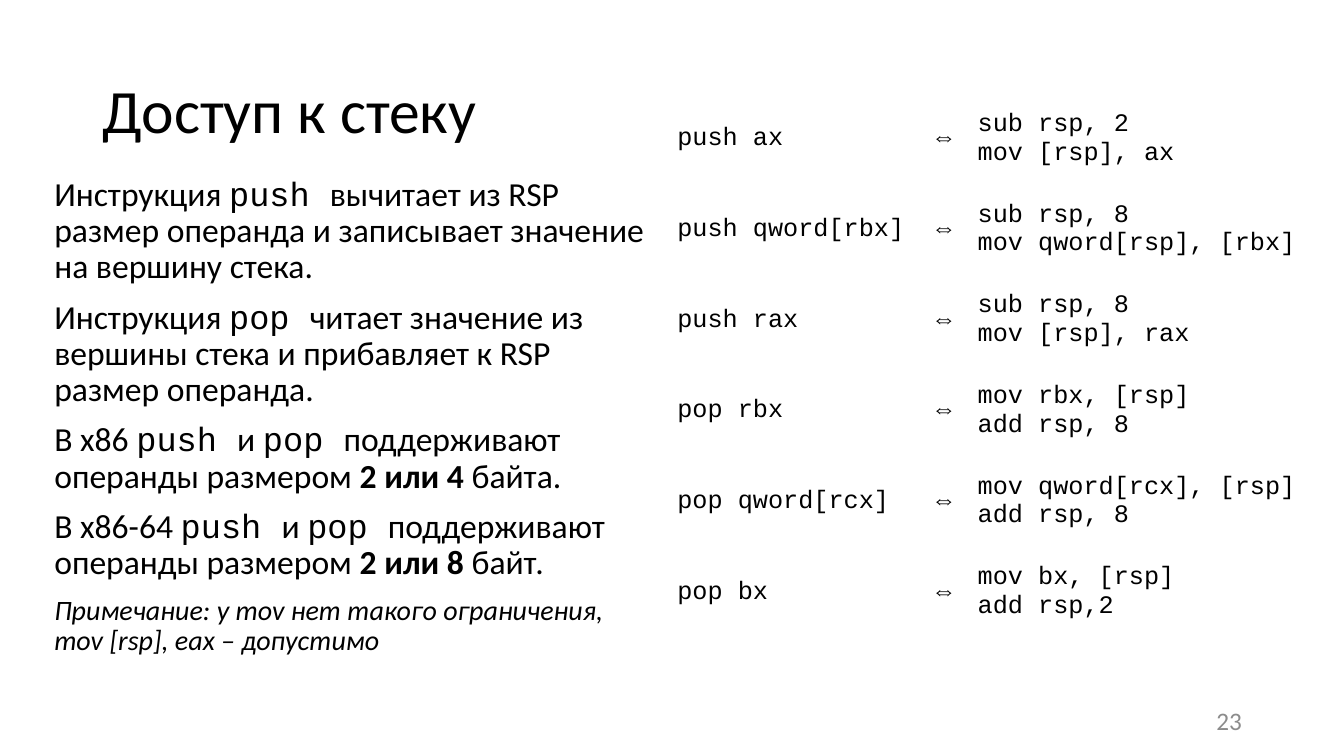
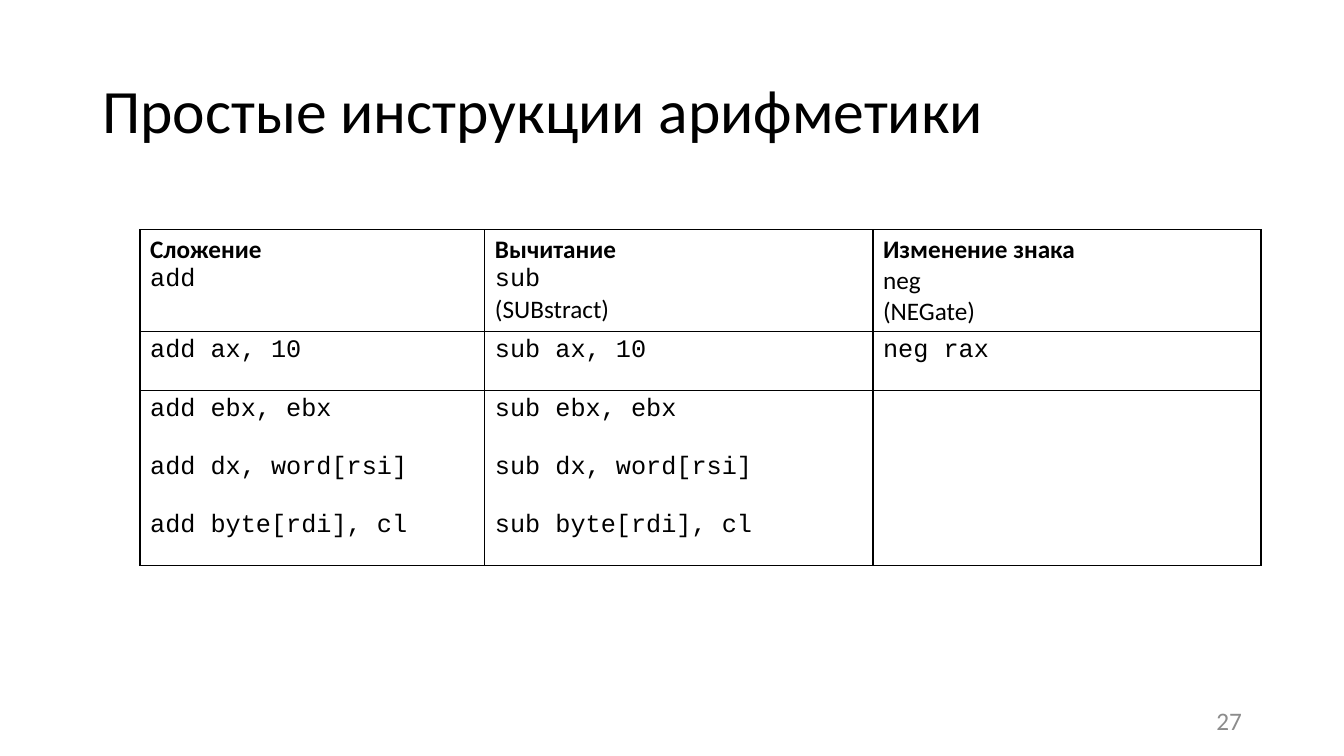
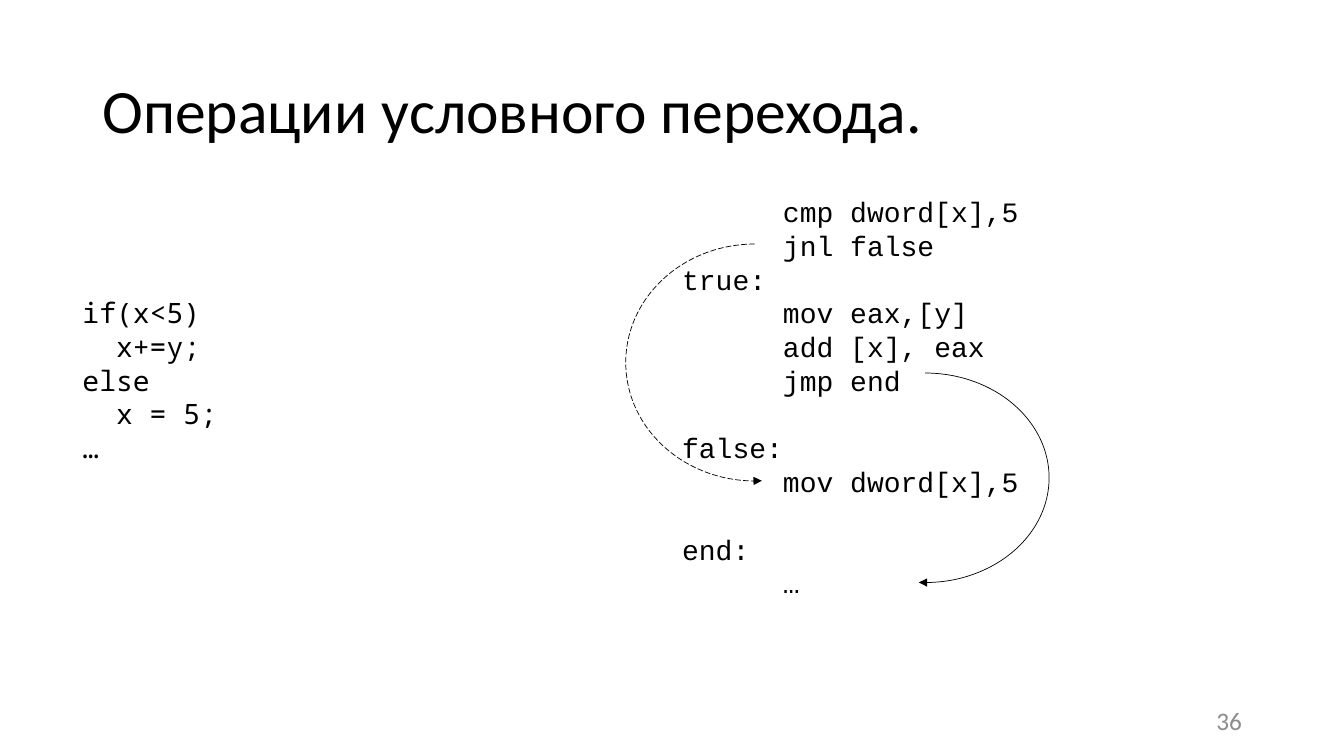
from lxml import etree
from pptx import Presentation
from pptx import util as u
from pptx.dml.color import RGBColor
from pptx.enum import dml, shapes, text
from pptx.oxml.ns import qn

COLORS = {"ink": "000000", "number": "8C8C8C"}
SANS, MONO, SOURCE = "Calibri", "Courier New", "Noto Sans Mono"
PLAIN = {"name": SANS, "size": u.Pt(18)}
CODE = {"name": MONO, "size": u.Pt(18)}
BOLD = {**PLAIN, "bold": True}
BODY = {"name": SANS, "size": u.Pt(24)}
BODY_CODE = {**BODY, "name": MONO}
BODY_BOLD = {**BODY, "bold": True}
NOTE = {"name": SANS, "size": u.Pt(20), "italic": True}
MIDDLE = text.MSO_ANCHOR.MIDDLE
CENTER, RIGHT = text.PP_ALIGN.CENTER, text.PP_ALIGN.RIGHT
CODE_PITCH = u.Pt(24.1)
NO_STYLE = "{2D5ABB26-0587-4C30-8999-92F81FD0307C}"


def cm(box):
    return [u.Cm(v) for v in box]


def rgb(key):
    return RGBColor.from_string(COLORS[key])


def set_attrs(obj, values):
    for key, value in values.items():
        setattr(obj, key, value)


def write(tf, paras, color="ink", **para_format):
    """Fill a frame; each paragraph is a list of (text, font values) runs."""
    for i, runs in enumerate(paras):
        p = tf.add_paragraph() if i else tf.paragraphs[0]
        set_attrs(p, para_format)
        if not i:
            p.space_before = u.Pt(0)
        for content, font in runs:
            for j, line in enumerate(content.split("\n")):
                if j:
                    p.add_line_break()
                if line:
                    r = p.add_run()
                    r.text = line
                    set_attrs(r.font, font)
                    r.font.color.rgb = rgb(color)


def add_text(s, box, paras, anchor=text.MSO_ANCHOR.TOP, **kw):
    tf = s.shapes.add_textbox(*cm(box)).text_frame
    set_attrs(tf, {"word_wrap": True, "vertical_anchor": anchor})
    write(tf, paras, **kw)
    return tf


def add_code(s, box, font, lines):
    """Write code lines; an empty line becomes space before the next one."""
    shown = [(line, i > 0 and not lines[i - 1])
             for i, line in enumerate(lines) if line]
    tf = add_text(s, box, [[(line, {"name": font, "size": u.Pt(20)})]
                           for line, _ in shown], line_spacing=CODE_PITCH)
    for p, (_, gap) in zip(tf.paragraphs, shown):
        if gap:
            p.space_before = CODE_PITCH


def add_base(prs, title, number):
    s = prs.slides.add_slide(prs.slide_layouts[6])
    add_text(s, (2.33, 1.02, 29.21, 3.67),
             [[(title, {"name": SANS, "size": u.Pt(44)})]],
             MIDDLE, line_spacing=0.9)
    add_text(s, (23.93, 17.65, 7.62, 1.02), [[(str(number), PLAIN)]],
             MIDDLE, color="number", alignment=RIGHT)
    return s


def add_grid(s, left, top, widths, heights):
    """Add an unstyled table without fills."""
    box = (left, top, sum(widths), sum(heights))
    table = s.shapes.add_table(len(heights), len(widths), *cm(box)).table
    set_attrs(table, {"first_row": False, "horz_banding": False})
    table._tbl.tblPr.find(qn("a:tableStyleId")).text = NO_STYLE
    for col, width in zip(table.columns, widths):
        col.width = u.Cm(width)
    for row, height in zip(table.rows, heights):
        row.height = u.Cm(height)
    for cell in table.iter_cells():
        cell.fill.background()
    return table


def add_borders(cell, sides):
    tcPr = cell._tc.get_or_add_tcPr()
    for i, side in enumerate(side for side in "LRTB" if side in sides):
        ln = etree.Element(qn("a:ln" + side), w=str(u.Pt(1)))
        fill = etree.SubElement(ln, qn("a:solidFill"))
        etree.SubElement(fill, qn("a:srgbClr"), val=COLORS["ink"])
        tcPr.insert(i, ln)


def add_equivalents(s, left, top, rows):
    """Table of instruction, sign and the code that does the same."""
    table = add_grid(s, left, top, (6.53, 1.04, 9.14), [2.2] * len(rows))
    margins = {f"margin_{side}": u.Cm(0.38)
               for side in ("left", "right", "top", "bottom")}
    for i, (instruction, *steps) in enumerate(rows):
        for j, lines in enumerate(([instruction], ["⇔"], steps)):
            cell = table.cell(i, j)
            set_attrs(cell, {**margins, "vertical_anchor": MIDDLE})
            write(cell.text_frame, [[(line, CODE)] for line in lines],
                  alignment=CENTER if j == 1 else None)


def add_instructions(s, left, top, heads, columns):
    """Ruled table: a head row, then examples with no rules between them."""
    count = max(map(len, columns))
    table = add_grid(s, left, top, (8.69, 9.78, 9.78), [2.57] + [1.47] * count)
    for j, (head, examples) in enumerate(zip(heads, columns)):
        write(table.cell(0, j).text_frame, head)
        for i, example in enumerate(examples, 1):
            write(table.cell(i, j).text_frame, [[(example, CODE)]])
        for i in range(count + 1):
            sides = "LR" + "T" * (i < 2) + "B" * (i in (0, count))
            add_borders(table.cell(i, j), sides)


def add_jump(s, box, to_left=False):
    """Arc arrow from the top to the bottom; dashed when it bends left."""
    sp = s.shapes.add_shape(shapes.MSO_SHAPE.ARC, *cm(box))
    sp.shadow.inherit = False
    sp.adjustments[0], sp.adjustments[1] = 162, 56.06
    sp.fill.background()
    sp.line.color.rgb = rgb("ink")
    sp.line.width = u.Pt(0.5)
    if to_left:
        sp._element.spPr.find(qn("a:xfrm")).set("flipH", "1")
        sp.line.dash_style = dml.MSO_LINE.LONG_DASH
    etree.SubElement(sp.line._get_or_add_ln(), qn("a:tailEnd"), type="triangle")


def operand_sizes(arch, sizes, unit):
    return [(f"В {arch} ", BODY), ("push ", BODY_CODE), ("и ", BODY),
            ("pop ", BODY_CODE), ("поддерживают операнды размером ", BODY),
            (sizes + " ", BODY_BOLD), (unit, BODY)]


def stack_slide(prs):
    s = add_base(prs, "Доступ к стеку", 23)
    add_text(s, (1.12, 4.34, 15.57, 13.31), [
        [("Инструкция ", BODY), ("push ", BODY_CODE),
         ("вычитает из RSP размер операнда и записывает значение "
          "на вершину стека.", BODY)],
        [("Инструкция ", BODY), ("pop ", BODY_CODE),
         ("читает значение из вершины стека и прибавляет к RSP "
          "размер операнда.", BODY)],
        operand_sizes("х86", "2 или 4", "байта."),
        operand_sizes("х86-64", "2 или 8", "байт."),
        [("Примечание: у mov нет такого ограничения,\n"
          "mov [rsp], eax – допустимо", NOTE)],
    ], line_spacing=0.9, space_before=u.Pt(10))
    add_equivalents(s, 16.69, 2.36, [
        ("push ax", "sub rsp, 2", "mov [rsp], ax"),
        ("push qword[rbx]", "sub rsp, 8", "mov qword[rsp], [rbx]"),
        ("push rax", "sub rsp, 8", "mov [rsp], rax"),
        ("pop rbx", "mov rbx, [rsp]", "add rsp, 8"),
        ("pop qword[rcx]", "mov qword[rcx], [rsp]", "add rsp, 8"),
        ("pop bx", "mov bx, [rsp]", "add rsp,2"),
    ])


def arithmetic_slide(prs):
    s = add_base(prs, "Простые инструкции арифметики", 27)
    operands = ("ax, 10", "ebx, ebx", "dx, word[rsi]", "byte[rdi], cl")
    heads = [
        [[("Сложение", BOLD)], [("add", CODE)]],
        [[("Вычитание", BOLD)], [("sub \n", CODE), ("(SUBstract)", PLAIN)]],
        [[("Изменение знака", BOLD)], [("neg", PLAIN)], [("(NEGate)", PLAIN)]],
    ]
    examples = [[f"{name} {operand}" for operand in operands]
                for name in ("add", "sub")]
    add_instructions(s, 3.53, 5.79, heads, examples + [["neg rax"]])


def jump_slide(prs):
    s = add_base(prs, "Операции условного перехода.", 36)
    add_code(s, (16.94, 4.78, 15.6, 11.38), MONO, [
        "      cmp dword[x],5",
        "      jnl false",
        "true:",
        "      mov eax,[y]",
        "      add [x], eax",
        "      jmp end",
        "",
        "false:",
        "      mov dword[x],5",
        "",
        "end:",
        "      …",
    ])
    add_code(s, (1.83, 7.32, 11.15, 4.6), SOURCE,
             ["if(x<5)", "  x+=y;", "else", "  x = 5;", "…"])
    add_jump(s, (15.77, 6.15, 6.5, 5.97), to_left=True)
    add_jump(s, (20.19, 9.4, 6.25, 5.28))


def main():
    prs = Presentation()
    set_attrs(prs, {"slide_width": u.Cm(33.87), "slide_height": u.Cm(19.05)})
    for build in (stack_slide, arithmetic_slide, jump_slide):
        build(prs)
    prs.save("out.pptx")


if __name__ == "__main__":
    main()
